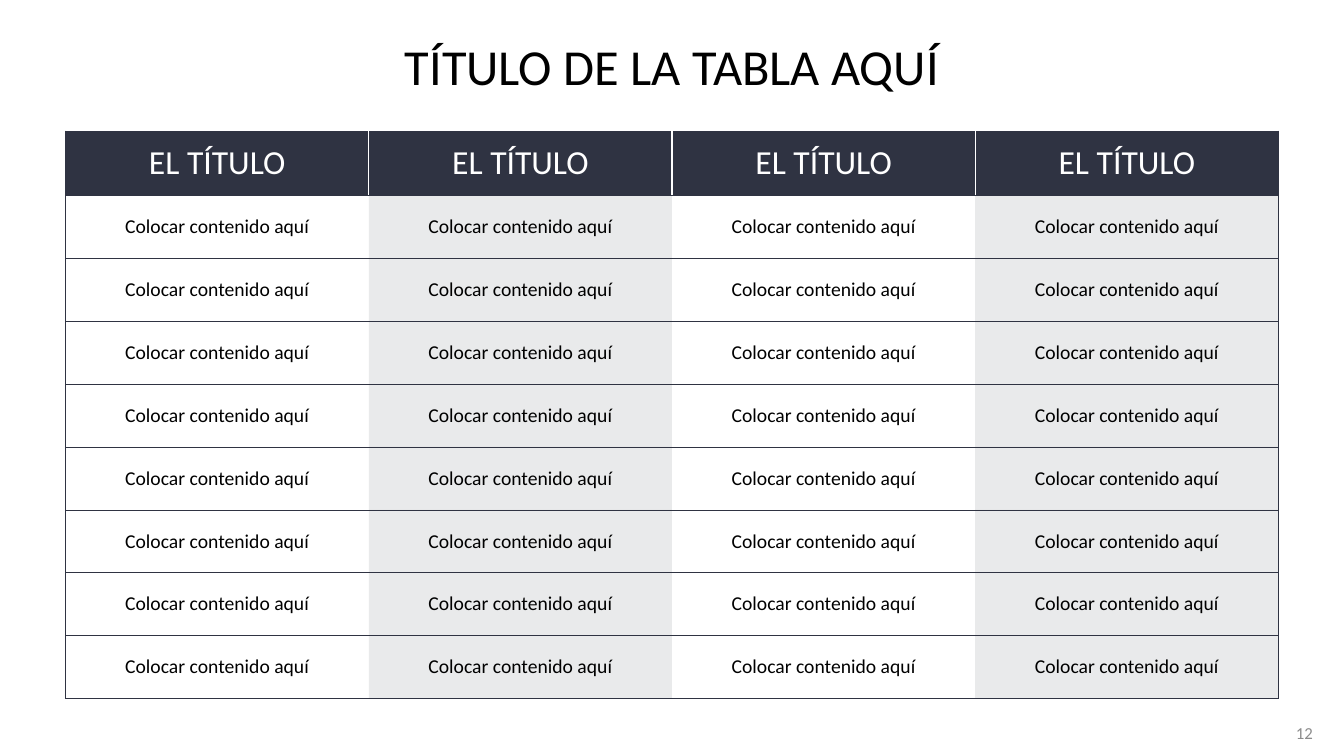
from pptx import Presentation
from pptx.dml.color import RGBColor
from pptx.enum.text import MSO_ANCHOR, PP_ALIGN
from pptx.oxml.ns import qn
from pptx.util import Inches, Pt
from lxml.etree import SubElement

NAVY = RGBColor(0x2F, 0x33, 0x42)
WHITE = RGBColor(0xFF, 0xFF, 0xFF)
BLACK = RGBColor(0, 0, 0)
GRAY = RGBColor(0x8C, 0x8C, 0x8C)

FONT = "Calibri"
COLS, ROWS = 4, 9
LEFT, TOP, WIDTH, HEIGHT = 0.65, 1.3, 12.03, 5.63
HEAD = 0.64


def style(font, size, color):
    font.name, font.size = FONT, Pt(size)
    font.color.rgb = color


def place(shape, left, top, width, height):
    shape.left, shape.top = Inches(left), Inches(top)
    shape.width, shape.height = Inches(width), Inches(height)


def add_title(slide, text):
    title = slide.shapes.title
    place(title, LEFT, 0, WIDTH, TOP)
    frame = title.text_frame
    frame.text = text
    frame.vertical_anchor = MSO_ANCHOR.MIDDLE
    line = frame.paragraphs[0]
    line.alignment = PP_ALIGN.CENTER
    style(line.font, 36, BLACK)


def add_border(cell, side, color=None, width=0.5):
    """Draw one side (L, R, T or B) of a cell; no colour means no line."""
    edge = SubElement(cell._tc.get_or_add_tcPr(), qn(f"a:ln{side}"))
    edge.set("w", str(Pt(width)))
    if color is None:
        SubElement(edge, qn("a:noFill"))
    else:
        fill = SubElement(edge, qn("a:solidFill"))
        SubElement(fill, qn("a:srgbClr")).set("val", str(color))


def add_borders(cell, row, col):
    inner = WHITE if row == 0 else None
    for side, outer in (("L", col == 0), ("R", col == COLS - 1)):
        if outer:
            add_border(cell, side, NAVY)
        else:
            add_border(cell, side, inner, 1)
    for side in "TB":
        add_border(cell, side, NAVY)


def fill_cell(cell, row, col):
    """Fill the header, and tint every second column below it."""
    if row and col % 2 == 0:
        cell.fill.background()
        return
    cell.fill.solid()
    cell.fill.fore_color.rgb = NAVY
    if row:
        color = cell._tc.tcPr.find(qn("a:solidFill"))[0]
        SubElement(color, qn("a:alpha")).set("val", "10000")


def add_grid(slide, head, body):
    frame = slide.shapes.add_table(
        ROWS, COLS, Inches(LEFT), Inches(TOP), Inches(WIDTH), Inches(HEIGHT))
    table = frame.table
    table.horz_banding = False
    for row in range(ROWS):
        tall = (HEIGHT - HEAD) / (ROWS - 1) if row else HEAD
        table.rows[row].height = Inches(tall)
        for col in range(COLS):
            cell = table.cell(row, col)
            cell.text = body if row else head
            cell.vertical_anchor = MSO_ANCHOR.MIDDLE
            cell.margin_left = cell.margin_right = Inches(0.07)
            cell.margin_top = cell.margin_bottom = Inches(0.04)
            line = cell.text_frame.paragraphs[0]
            line.alignment = PP_ALIGN.CENTER
            style(line.font, *((14, BLACK) if row else (24, WHITE)))
            add_borders(cell, row, col)
            fill_cell(cell, row, col)


def add_number(slide, text):
    box = slide.shapes.add_textbox(*map(Inches, (12.63, 7.07, 0.49, 0.4)))
    frame = box.text_frame
    frame.word_wrap = True
    frame.vertical_anchor = MSO_ANCHOR.MIDDLE
    line = frame.paragraphs[0]
    line.text = text
    line.alignment = PP_ALIGN.RIGHT
    style(line.font, 12, GRAY)


def main():
    deck = Presentation()
    deck.slide_width, deck.slide_height = Inches(13.33), Inches(7.5)
    slide = deck.slides.add_slide(deck.slide_layouts.get_by_name("Title Only"))
    add_title(slide, "TÍTULO DE LA TABLA AQUÍ")
    add_grid(slide, "EL TÍTULO", "Colocar contenido aquí")
    add_number(slide, "12")
    deck.save("out.pptx")


if __name__ == "__main__":
    main()
